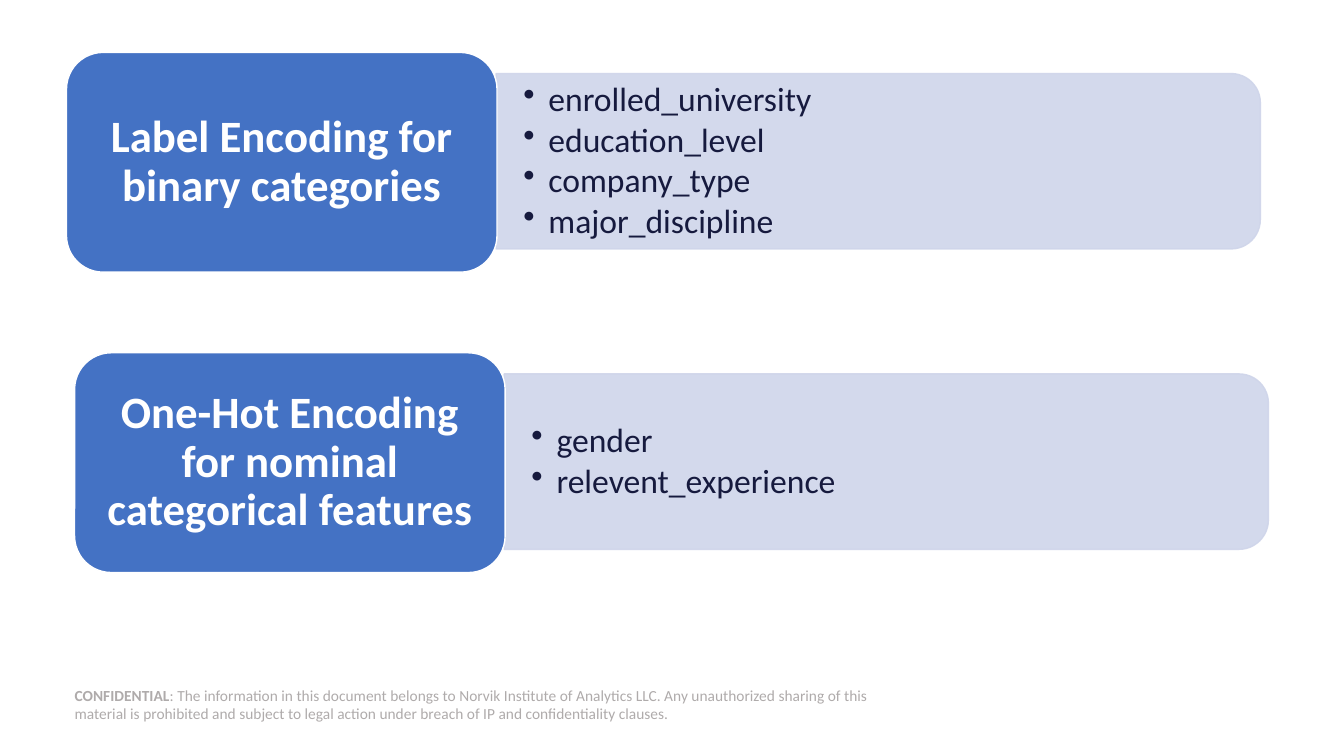
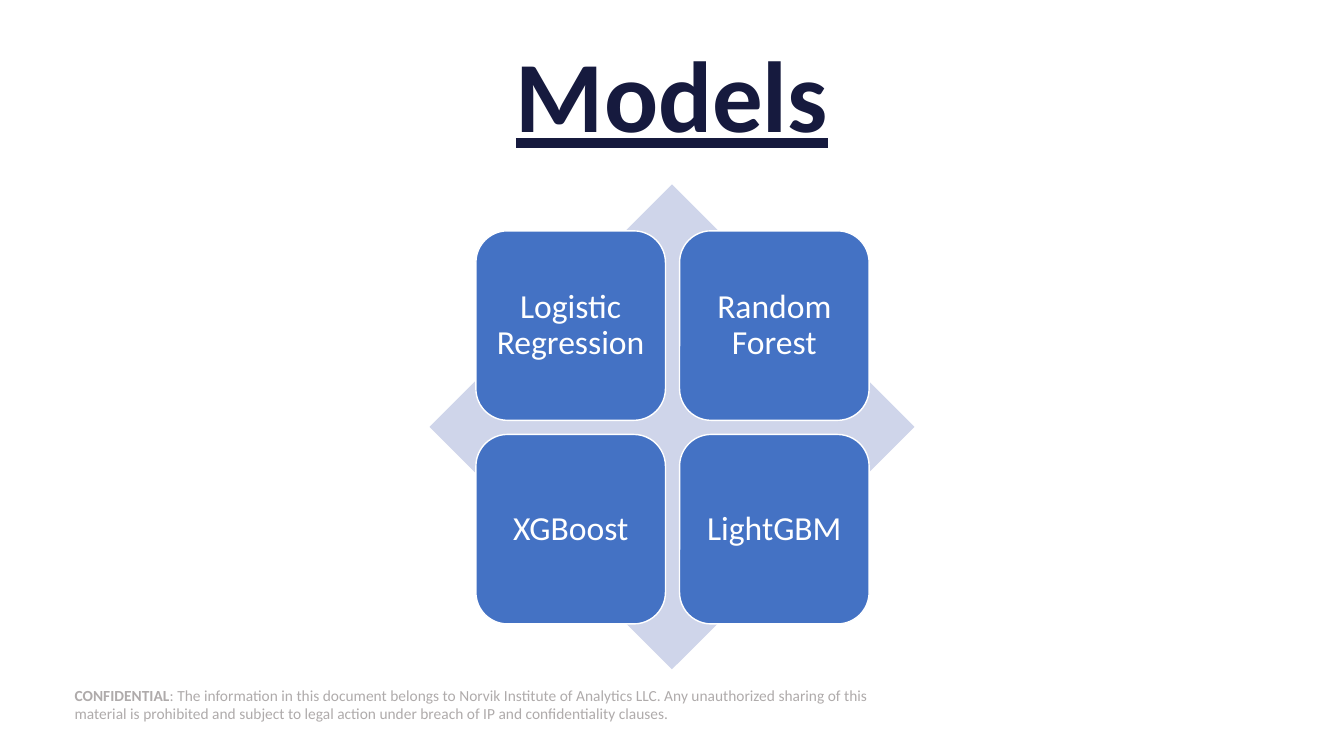
"""Build two slides on category encoding and the models used."""
from lxml.etree import SubElement
from pptx import Presentation
from pptx.dml.color import RGBColor
from pptx.enum.shapes import MSO_SHAPE
from pptx.enum.text import MSO_ANCHOR, PP_ALIGN
from pptx.oxml.ns import qn
from pptx.util import Pt

PX = 9144
BLUE, PALE, NAVY, GREY, WHITE = "4472C4", "CFD5EA", "161A3E", "AFABAB", "FFFFFF"
HEAD = {"size": Pt(72), "bold": True, "underline": True}
CARD = {"size": Pt(32), "bold": True}
BODY = {"size": Pt(24)}
NOTE = {"size": Pt(11)}


def draw(slide, kind, box, fill=None, line=None):
    """Add a shape, or a text box when kind is None."""
    box = [n * PX for n in box]
    if kind is None:
        return slide.shapes.add_textbox(*box)
    shape = slide.shapes.add_shape(kind, *box)
    shape.shadow.inherit = False
    shape.fill.solid()
    shape.fill.fore_color.rgb = RGBColor.from_string(fill)
    if line:
        shape.line.color.rgb = RGBColor.from_string(line)
        shape.line.width = Pt(1)
    else:
        shape.line.fill.background()
    return shape


def write(shape, rows, font, color, pad=(0, 0), align=PP_ALIGN.CENTER, space=0.9):
    """Fill a shape with rows of (text, extra format) runs."""
    frame = shape.text_frame
    frame.word_wrap = True
    frame.vertical_anchor = MSO_ANCHOR.MIDDLE
    frame.margin_left = frame.margin_right = pad[0] * PX
    frame.margin_top = frame.margin_bottom = pad[1] * PX
    for i, row in enumerate(rows):
        para = frame.add_paragraph() if i else frame.paragraphs[0]
        para.alignment, para.line_spacing = align, space
        for text, extra in row:
            run = para.add_run()
            run.text = text
            run.font.color.rgb = RGBColor.from_string(color)
            for key, value in {"name": "Calibri", **font, **extra}.items():
                setattr(run.font, key, value)
    return frame.paragraphs


deck = Presentation()
deck.slide_width, deck.slide_height = 1333 * PX, 750 * PX
first, second = [deck.slides.add_slide(deck.slide_layouts[6]) for _ in range(2)]

notice = [
    ("CONFIDENTIAL", {"bold": True}),
    (": The information in this document belongs to Norvik Institute of Analytics LLC. "
     "Any unauthorized sharing of this material is prohibited and subject to legal "
     "action under breach of IP and confidentiality clauses.", {}),
]
for slide in (first, second):
    foot = draw(slide, MSO_SHAPE.RECTANGLE, (74, 679, 817, 40), WHITE)
    write(foot, [notice], NOTE, GREY, align=PP_ALIGN.LEFT, space=1.0)

groups = [
    (66, 52, "Label Encoding for binary categories",
     ["enrolled_university", "education_level", "company_type", "major_discipline"]),
    (74, 350, "One-Hot Encoding for nominal categorical features",
     ["gender", "relevent_experience"]),
]
for x, y, label, items in groups:
    panel = draw(first, MSO_SHAPE.ROUND_2_SAME_RECTANGLE,
                 (x + 718, y - 271, 174, 758), PALE, PALE)
    panel.rotation = 90
    for tint in panel._element.spPr.iter(qn("a:srgbClr")):
        SubElement(tint, qn("a:alpha"), val="90000")
    names = draw(first, None, (x + 426, y + 30, 750, 157))
    rows = [[(item, {})] for item in items]
    for para in write(names, rows, BODY, NAVY, (27, 14), PP_ALIGN.LEFT):
        para.space_after = Pt(3)
        props = para._p.get_or_add_pPr()
        props.set("marL", str(25 * PX))
        props.set("indent", str(-25 * PX))
        SubElement(props, qn("a:buChar"), char="•")
    card = draw(first, MSO_SHAPE.ROUNDED_RECTANGLE, (x, y, 427, 218), BLUE, WHITE)
    write(card, [[(label, {})]], CARD, WHITE, (13, 7))

title = draw(second, None, (74, 66, 1185, 67))
write(title, [[("Models", {})]], HEAD, NAVY)
draw(second, MSO_SHAPE.DIAMOND, (426, 183, 481, 481), PALE)
models = ["Logistic Regression", "Random Forest", "XGBoost", "LightGBM"]
for i, model in enumerate(models):
    row, col = divmod(i, 2)
    tile = draw(second, MSO_SHAPE.ROUNDED_RECTANGLE,
                (472 + col * 202, 229 + row * 202, 188, 188), BLUE, WHITE)
    write(tile, [[(model, {})]], BODY, WHITE, (10, 10))

deck.save("out.pptx")
